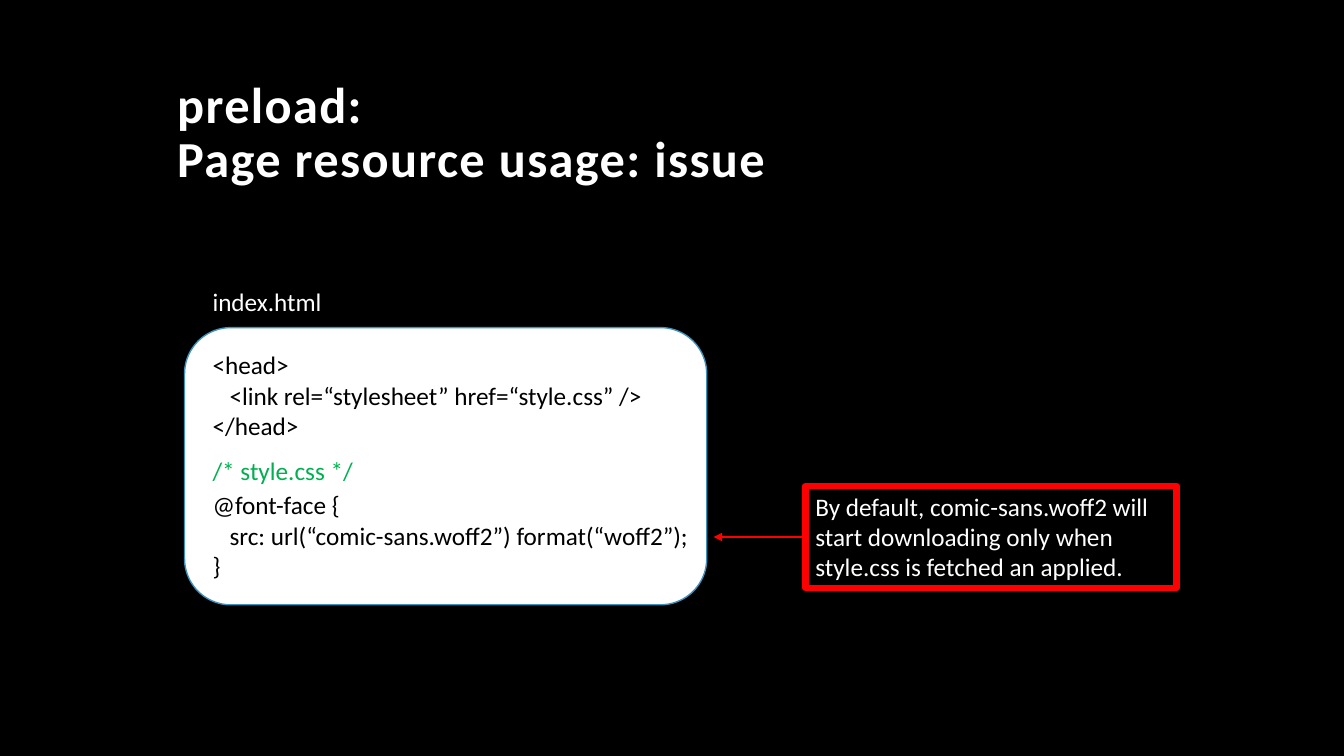
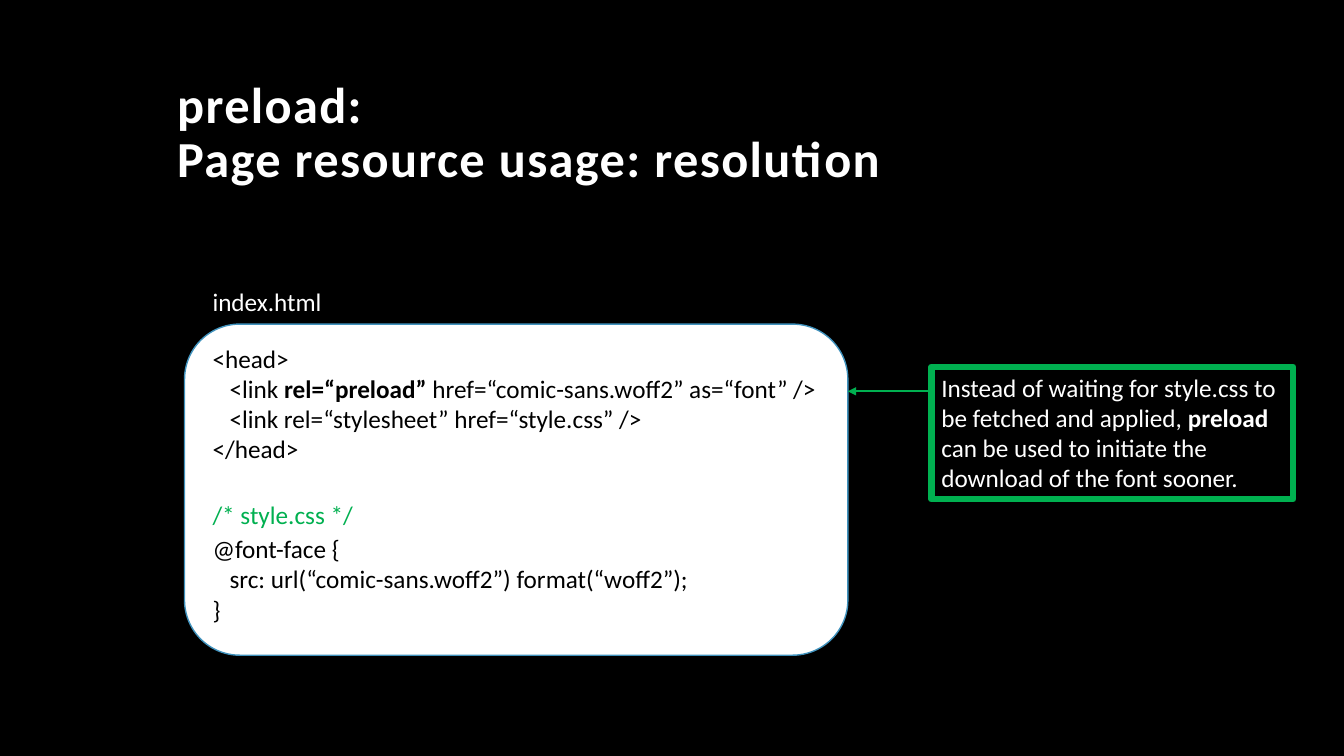
from dataclasses import dataclass

from lxml.etree import SubElement
from pptx import Presentation
from pptx.dml.color import RGBColor as Color
from pptx.enum.shapes import MSO_CONNECTOR as Connector
from pptx.enum.shapes import MSO_SHAPE as Shape
from pptx.enum.text import MSO_ANCHOR as Anchor
from pptx.enum.text import MSO_AUTO_SIZE as AutoSize
from pptx.enum.text import PP_ALIGN as Align
from pptx.oxml.ns import qn
from pptx.util import Pt


@dataclass(frozen=True)
class Theme:
    font: str = "Calibri"
    title_size: float = 36
    body_size: float = 18
    background: Color = Color(0x00, 0x00, 0x00)
    light: Color = Color(0xFF, 0xFF, 0xFF)
    code: Color = Color(0x00, 0x00, 0x00)
    panel_edge: Color = Color(0x40, 0x92, 0xBD)
    issue: Color = Color(0xFF, 0x00, 0x00)
    good: Color = Color(0x00, 0xB0, 0x50)


THEME = Theme()
CODE_LEFT = 144.7
PANEL_LEFT = 131.8
CODE_INDENT = 12.2

# A line is its indent level followed by its spans; every second span is bold.
STYLE_LINK = (1, "<link rel=“stylesheet” href=“style.css” />")
PRELOAD_LINK = (1, "<link ", "rel=“preload”", " href=“comic-sans.woff2” as=“font” />")
FONT_FACE = [
    (0, "@font-face {"),
    (1, "src: url(“comic-sans.woff2”) format(“woff2”);"),
    (0, "}"),
]


class Builder:
    def __init__(self, theme):
        self.theme = theme
        self.deck = Presentation()
        self.deck.slide_width, self.deck.slide_height = Pt(960), Pt(540)
        fill = self.deck.slide_master.background.fill
        fill.solid()
        fill.fore_color.rgb = theme.background
        self.page = None

    def add_page(self, *title_lines):
        self.page = self.deck.slides.add_slide(self.deck.slide_layouts[6])
        self.title(title_lines)

    def add_span(self, para, text, size, color, bold=False):
        span = para.add_run()
        span.text = text
        font = span.font
        font.name, font.size, font.bold = self.theme.font, Pt(size), bold
        font.color.rgb = color
        return span

    def fill_text(self, box, lines, color):
        frame = box.text_frame
        frame.word_wrap = True
        frame.auto_size = AutoSize.SHAPE_TO_FIT_TEXT
        frame.vertical_anchor = Anchor.TOP
        for number, (level, *spans) in enumerate(lines):
            para = frame.add_paragraph() if number else frame.paragraphs[0]
            para.alignment = Align.LEFT
            if level:
                props = para._p.get_or_add_pPr()
                props.set("marL", str(Pt(level * CODE_INDENT)))
                props.set("indent", "0")
            for index, text in enumerate(spans):
                self.add_span(para, text, self.theme.body_size, color, index % 2 == 1)

    def title(self, lines):
        box = self.page.shapes.add_textbox(Pt(119.5), Pt(30.2), Pt(720), Pt(108))
        frame = box.text_frame
        frame.word_wrap = True
        frame.vertical_anchor = Anchor.BOTTOM
        para = frame.paragraphs[0]
        para.line_spacing = 0.9
        for number, text in enumerate(lines):
            if number:
                para.add_line_break()
            span = self.add_span(para, text, self.theme.title_size, self.theme.light, True)
            span._r.get_or_add_rPr().set("spc", "100")

    def text(self, top, width, lines, color):
        height = 7.2 + 21.9 * len(lines)
        box = self.page.shapes.add_textbox(Pt(CODE_LEFT), Pt(top), Pt(width), Pt(height))
        self.fill_text(box, lines, color)

    def shape(self, kind, left, top, width, height, edge, weight):
        box = self.page.shapes.add_shape(kind, Pt(left), Pt(top), Pt(width), Pt(height))
        box.shadow.inherit = False
        box.fill.background()
        box.line.color.rgb = edge
        box.line.width = Pt(weight)
        return box

    def panel(self, top, width, height):
        box = self.shape(Shape.ROUNDED_RECTANGLE, PANEL_LEFT, top, width, height,
                         self.theme.panel_edge, 1)
        box.fill.solid()
        box.fill.fore_color.rgb = self.theme.light

    def note(self, left, top, width, height, edge, *spans):
        box = self.shape(Shape.RECTANGLE, left, top, width, height, edge, 4.5)
        self.fill_text(box, [(0, *spans)], self.theme.light)
        return box

    def arrow(self, start, end, y, color):
        line = self.page.shapes.add_connector(Connector.STRAIGHT, Pt(start), Pt(y), Pt(end), Pt(y))
        line.line.color.rgb = color
        line.line.width = Pt(1.5)
        SubElement(line.line._get_or_add_ln(), qn("a:tailEnd"), type="triangle")
        SubElement(line._element.spPr, qn("a:effectLst"))
        return line

    def listing(self, panel, head_top, head_width, links, css_top):
        """File label, white panel, HTML head and style sheet."""
        self.text(200.9, 95, [(0, "index.html")], self.theme.light)
        self.panel(*panel)
        head = [(0, "<head>"), *links, (0, "</head>")]
        self.text(head_top, head_width, head, self.theme.code)
        self.text(css_top, 323.3, [(0, "/* style.css */")], self.theme.good)
        self.text(css_top + 24.5, 360.7, FONT_FACE, self.theme.code)


def main():
    builder = Builder(THEME)

    # Issue: the font loads late
    builder.add_page("preload:", "Page resource usage: issue")
    builder.listing((234, 373, 198), 246.2, 323.3, [STYLE_LINK], 321.8)
    note = builder.note(575.3, 347.2, 265, 72.8, THEME.issue,
                        "By default, comic-sans.woff2 will start downloading only when "
                        "style.css is fetched an applied.")
    builder.arrow(575.3, 509.8, 383.6, THEME.issue).begin_connect(note, 1)

    # Resolution: preload the font
    builder.add_page("preload:", "Page resource usage: resolution")
    builder.listing((231.5, 473.8, 236.5), 241.4, 455, [PRELOAD_LINK, STYLE_LINK], 353)
    builder.note(665.3, 262.1, 258.5, 94.5, THEME.good,
                 "Instead of waiting for style.css to be fetched and applied, ",
                 "preload",
                 " can be used to initiate the download of the font sooner.")
    builder.arrow(665.3, 605.6, 279.5, THEME.good)

    builder.deck.save("out.pptx")


if __name__ == "__main__":
    main()
